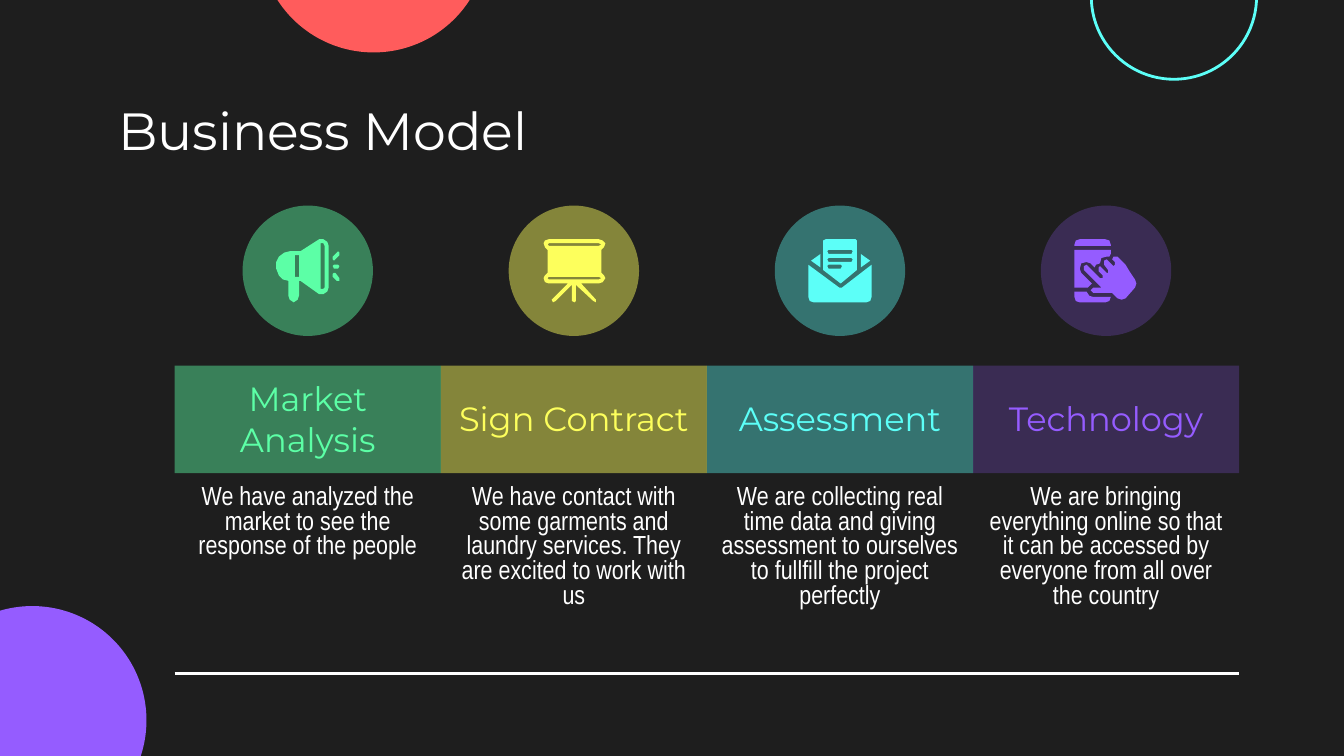
import pptx
import pptx.dml.color
import pptx.enum.shapes
import pptx.enum.text
import pptx.oxml
import pptx.oxml.ns
import pptx.util
from dataclasses import dataclass
from lxml import etree

Inches, Pt = pptx.util.Inches, pptx.util.Pt
RGB = pptx.dml.color.RGBColor.from_string
CENTER = pptx.enum.text.PP_ALIGN.CENTER
MIDDLE = pptx.enum.text.MSO_ANCHOR.MIDDLE
OVAL = pptx.enum.shapes.MSO_SHAPE.OVAL
qn = pptx.oxml.ns.qn


@dataclass
class Theme:
    background: str = "1E1E1E"
    text: str = "FFFFFF"
    red: str = "FF5C5C"
    green: str = "5CFFA6"
    yellow: str = "FDFF5C"
    cyan: str = "5CFFF8"
    purple: str = "955CFF"
    heading_font: str = "Montserrat"
    body_font: str = "Arial Narrow"
    title_size: int = 28
    heading_size: int = 18
    body_size: int = 14


theme = Theme()

# Icon parts: lists of contours, in hundredths of an inch
megaphone = [
    [[(32, 0), (18, 9), (10, 9), (6, 10), (2, 13), (0, 17), (0, 22), (2, 27),
      (5, 30), (9, 31), (9, 42), (10, 45), (13, 47), (16, 45), (17, 42), (17, 31),
      (18, 31), (32, 41), (35, 41), (38, 39), (39, 36), (39, 5), (38, 2), (35, 0)],
     [(17, 12), (17, 28), (14, 28), (14, 12)],
     [(35, 3), (36, 5), (36, 36), (35, 37), (33, 37), (33, 3)]],
    [[(43, 19), (46, 19), (47, 20), (46, 22), (43, 22), (42, 20)]],
    [[(45, 10), (46, 9), (47, 10), (47, 12), (44, 15), (43, 16), (42, 15), (42, 13)]],
    [[(43, 25), (44, 25), (47, 29), (47, 31), (46, 31), (45, 31), (42, 28), (42, 26)]],
]
board = [
    [[(5, 0), (42, 0), (45, 1), (47, 3), (46, 6), (44, 8), (44, 25), (46, 27),
      (47, 29), (45, 32), (42, 33), (29, 33), (40, 45), (40, 47), (38, 46), (25, 34),
      (25, 46), (24, 47), (22, 46), (22, 34), (10, 46), (8, 47), (7, 45), (19, 33),
      (5, 33), (2, 32), (1, 29), (2, 27), (4, 25), (4, 8), (2, 6), (1, 3), (2, 1)],
     [(5, 3), (42, 3), (44, 4), (42, 5), (5, 5), (4, 4)],
     [(5, 28), (42, 28), (44, 29), (42, 30), (5, 30), (4, 29)]],
]
envelope = [
    [[(0, 19), (0, 43), (1, 46), (4, 47), (43, 47), (46, 46), (47, 43), (47, 19),
      (25, 36), (23, 36)]],
    [[(39, 11), (39, 21), (46, 16)]],
    [[(9, 11), (2, 16), (9, 21)]],
    [[(13, 0), (11, 1), (11, 23), (24, 33), (36, 23), (36, 1), (35, 0)]]
    + [[(15, y), (right, y), (right + 1, y + 1), (right, y + 3), (15, y + 3), (14, y + 1)]
       for y, right in ((8, 32), (14, 32), (19, 24))],
]
phone = [
    [[(4, 0), (1, 1), (0, 4), (0, 5), (27, 5), (27, 4), (26, 1), (23, 0)]],
    [[(0, 8), (0, 36), (10, 36), (13, 33), (5, 25), (4, 22), (5, 18), (9, 17), (12, 18),
      (15, 21), (16, 19), (19, 18), (20, 14), (24, 13), (26, 13), (27, 11), (27, 8)]],
    [[(0, 39), (0, 43), (1, 46), (4, 47), (23, 47), (26, 46), (27, 43), (14, 43),
      (11, 42), (9, 39)]],
    [[(30, 13), (29, 13), (28, 15), (30, 17), (30, 19), (29, 20), (25, 16), (24, 15),
      (22, 16), (22, 19), (25, 23), (25, 25), (24, 25), (20, 21), (19, 20), (18, 21),
      (18, 24), (21, 27), (21, 29), (19, 29), (10, 20), (9, 19), (7, 20), (7, 23),
      (20, 36), (14, 36), (12, 38), (14, 40), (28, 40), (32, 44), (35, 45), (38, 44),
      (45, 36), (46, 33), (45, 30), (41, 24), (38, 19), (32, 13)]],
]
# Heading, description, colour, opacity in percent, icon
steps = [
    ("Market Analysis", "We have analyzed the market to see the response of the people",
     theme.green, 44, megaphone),
    ("Sign Contract", "We have contact with some garments and laundry services. "
     "They are excited to work with us", theme.yellow, 46, board),
    ("Assessment", "We are collecting real time data and giving assessment to ourselves "
     "to fullfill the project perfectly", theme.cyan, 38, envelope),
    ("Technology", "We are bringing everything online so that it can be accessed by "
     "everyone from all over the country", theme.purple, 24, phone),
]


def paint(target, color, opacity=100):
    """Fill a shape or a table cell with a colour that may be see-through."""
    target.fill.solid()
    target.fill.fore_color.rgb = RGB(color)
    if opacity < 100:
        node = next(target._element.iter(qn("a:srgbClr"))) if hasattr(target, "_element") \
            else next(target._tc.iter(qn("a:srgbClr")))
        etree.SubElement(node, qn("a:alpha"), val=str(opacity * 1000))


def write(frame, text, size, font, color, alignment=None):
    """Put one styled run in the first paragraph of a text frame."""
    paragraph = frame.paragraphs[0]
    paragraph.alignment = alignment
    run = paragraph.add_run()
    run.text = text
    run.font.size = Pt(size)
    run.font.name = font
    run.font.color.rgb = RGB(color)


presentation = pptx.Presentation()
presentation.slide_width, presentation.slide_height = Inches(10), Inches(5.625)
slide = presentation.slides.add_slide(presentation.slide_layouts[6])
slide.background.fill.solid()
slide.background.fill.fore_color.rgb = RGB(theme.background)

# Decorative circles
for left, top, diameter, color, filled in (
        (-0.61, 4.51, 1.7, theme.purple, True),
        (8.12, -0.64, 1.23, theme.cyan, False),
        (1.93, -1.31, 1.7, theme.red, True)):
    circle = slide.shapes.add_shape(
        OVAL, Inches(left), Inches(top), Inches(diameter), Inches(diameter))
    circle.shadow.inherit = False
    if filled:
        paint(circle, color)
        circle.line.fill.background()
    else:
        circle.fill.background()
        circle.line.color.rgb = RGB(color)
        circle.line.width = Pt(1.5)

# Title
title = slide.shapes.add_textbox(Inches(0.78), Inches(0.71), Inches(3.72), Inches(0.51))
frame = title.text_frame
frame.word_wrap = True
frame.vertical_anchor = MIDDLE
frame.margin_left = frame.margin_right = frame.margin_top = frame.margin_bottom = Inches(0.1)
write(frame, "Business Model", theme.title_size, theme.heading_font, theme.text)

# Table of steps, without a banded style
table_left, column_width = 1.3, 1.98
row_heights = (0.74, 1.49, 0.4)
table = slide.shapes.add_table(
    len(row_heights), len(steps), Inches(table_left), Inches(2.72),
    Inches(column_width * len(steps)), Inches(sum(row_heights))).table
table.first_row = table.horz_banding = False
table._tbl.tblPr.find(qn("a:tableStyleId")).text = "{2D5ABB26-0587-4C30-8999-92F81FD0307C}"
for row, height in zip(table.rows, row_heights):
    row.height = Inches(height)
    for cell in row.cells:
        cell.fill.background()
for column, (heading, description, color, opacity, icon) in enumerate(steps):
    table.columns[column].width = Inches(column_width)
    head, body = table.cell(0, column), table.cell(1, column)
    for cell in (head, body):
        cell.margin_left = cell.margin_right = Inches(0.1)
        cell.margin_top = cell.margin_bottom = Inches(0.1)
    head.vertical_anchor = MIDDLE
    paint(head, color, opacity)
    write(head.text_frame, heading, theme.heading_size, theme.heading_font, color, CENTER)
    write(body.text_frame, description, theme.body_size, theme.body_font, theme.text, CENTER)
    for cell, edge in ((body, "lnB"), (table.cell(2, column), "lnT")):
        cell._tc.get_or_add_tcPr().insert(0, pptx.oxml.parse_xml(
            f'<a:{edge} {pptx.oxml.ns.nsdecls("a")} w="{Pt(1.5)}"><a:solidFill>'
            f'<a:srgbClr val="{theme.text}"/></a:solidFill></a:{edge}>'))

# Icons on discs, centred above the columns
disc_size, icon_size, disc_top = 0.97, 0.47, 1.53
for column, (heading, description, color, opacity, icon) in enumerate(steps):
    center = table_left + column_width * (column + 0.5)
    disc = slide.shapes.add_shape(
        OVAL, Inches(center - disc_size / 2), Inches(disc_top),
        Inches(disc_size), Inches(disc_size))
    disc.shadow.inherit = False
    paint(disc, color, opacity)
    disc.line.fill.background()
    icon_left = Inches(center - icon_size / 2)
    icon_top = Inches(disc_top + (disc_size - icon_size) / 2)
    for contours in icon:
        builder = slide.shapes.build_freeform(*contours[0][0], scale=Inches(0.01))
        for number, contour in enumerate(contours):
            if number:
                builder.move_to(*contour[0])
            builder.add_line_segments(contour[1:], close=True)
        part = builder.convert_to_shape(icon_left, icon_top)
        part.shadow.inherit = False
        paint(part, color)
        part.line.fill.background()

presentation.save("out.pptx")
